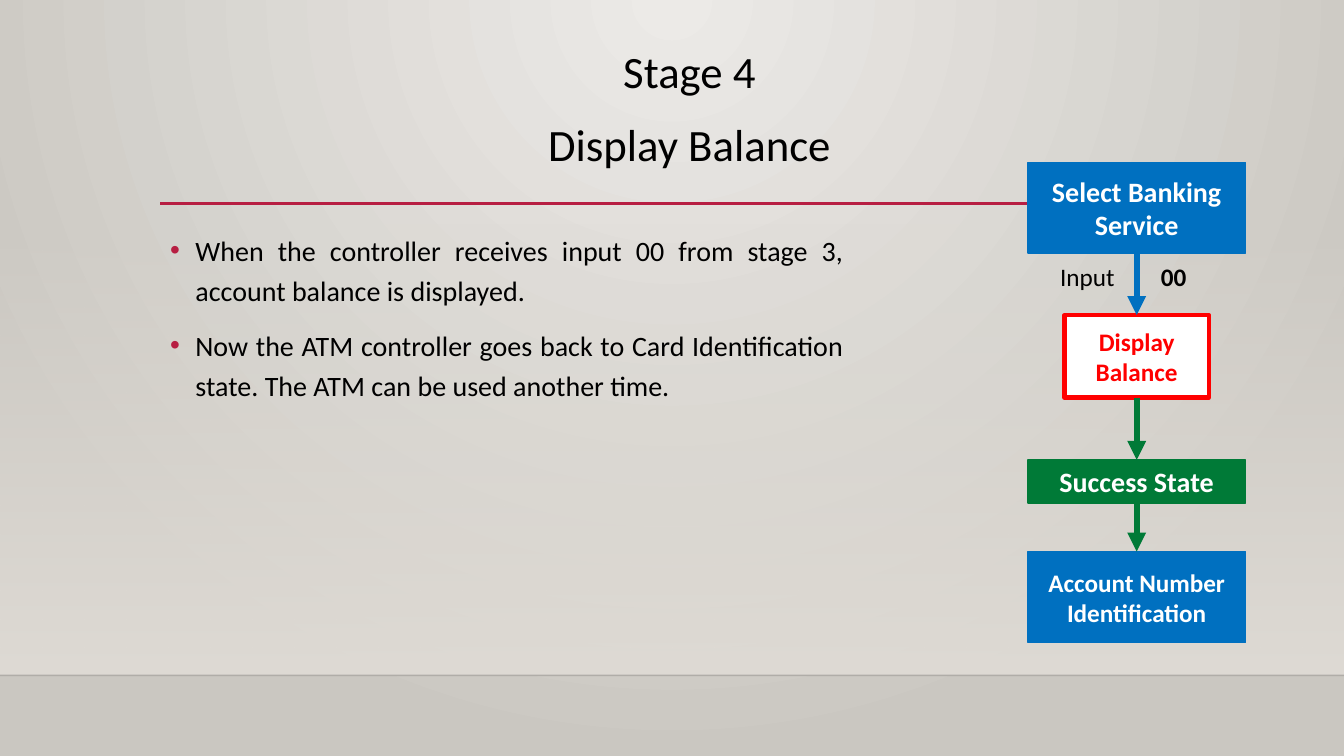
from lxml import etree
from pptx import Presentation
from pptx import util as u
from pptx.dml.color import RGBColor
from pptx.enum import shapes, text
from pptx.oxml import ns

COLORS = {
    "glow": "ECEAE7", "edge": "CAC7C1", "wall": "DFDBD5", "black": "000000",
    "accent": "B71E42", "blue": "0070C0", "green": "007A37", "red": "FF0000",
    "white": "FFFFFF",
}
FONT = "Calibri"
CENTER = text.PP_ALIGN.CENTER


def rgb(name):
    """Return the named palette colour."""
    return RGBColor.from_string(COLORS[name])


def child(parent, tag, **attributes):
    """Append a drawing element to its parent."""
    return etree.SubElement(parent, ns.qn(tag), attributes)


def style(para, size, color="black", bold=False):
    """Format every run of a paragraph."""
    for span in para.runs:
        span.font.name, span.font.size = FONT, u.Pt(size)
        span.font.bold = bold
        span.font.color.rgb = rgb(color)


def add_text(page, left, top, width, height):
    """Add a wrapping text box and return its frame."""
    box = page.shapes.add_textbox(u.Pt(left), u.Pt(top), u.Pt(width), u.Pt(height))
    box.text_frame.word_wrap = True
    return box.text_frame


def add_line(page, start, end, color, weight):
    """Add a straight connector without a shadow."""
    line = page.shapes.add_connector(
        shapes.MSO_CONNECTOR.STRAIGHT, *(u.Pt(value) for value in (*start, *end)))
    line.line.color.rgb = rgb(color)
    line.line.width = u.Pt(weight)
    child(line._element.spPr, "a:effectLst")
    return line


def set_gradient(fill, names):
    """Give a fill a two-colour gradient."""
    fill.gradient()
    for stop, position, name in zip(fill.gradient_stops, (0, 1), names):
        stop.position = position
        stop.color.rgb = rgb(name)


def draw_backdrop(page, width, height, floor):
    """Draw the radial background, the fading wall and the floor line."""
    fill = page.background.fill
    set_gradient(fill, ("glow", "edge"))
    linear = next(page._element.iter(ns.qn("a:lin")))
    gradient = linear.getparent()
    gradient.remove(linear)
    radial = child(gradient, "a:path", path="circle")
    child(radial, "a:fillToRect", l="43000", t="0", r="43000", b="100000")

    wall_top = 159
    wall = page.shapes.add_shape(
        shapes.MSO_SHAPE.RECTANGLE, 0, u.Pt(wall_top), u.Pt(width), u.Pt(floor - wall_top))
    wall.shadow.inherit = False
    wall.line.fill.background()
    set_gradient(wall.fill, ("wall", "wall"))
    wall.fill.gradient_angle = 270
    child(next(wall._element.spPr.iter(ns.qn("a:srgbClr"))), "a:alpha", val="0")

    edge = add_line(page, (0, floor), (width, floor), "black", 1)
    child(next(edge._element.spPr.iter(ns.qn("a:srgbClr"))), "a:alpha", val="20000")


def draw_heading(page, left, top, width, height):
    """Draw the stage number, the title and the rule below them."""
    rule = top + height - 0.7
    add_line(page, (left, rule), (left + width, rule), "accent", 2.5)
    title_top = top + 35.3
    frame = add_text(page, left, title_top, width, top + height - title_top)
    frame.vertical_anchor = text.MSO_ANCHOR.MIDDLE
    frame.text = "Display Balance"
    stage = add_text(page, left + (width - 120) / 2, top, 120, 46)
    stage.text = "Stage 4"
    for para in (frame.paragraphs[0], stage.paragraphs[0]):
        para.alignment = CENTER
        style(para, 32)
    frame.paragraphs[0].line_spacing = 0.9


def draw_bullets(page, left, top, width, height, items):
    """Draw the justified bullet list."""
    frame = add_text(page, left, top, width, height)
    for index, item in enumerate(items):
        para = frame.add_paragraph() if index else frame.paragraphs[0]
        para.text = item
        para.alignment = text.PP_ALIGN.JUSTIFY
        para.line_spacing = 1.2
        if index:
            para.space_before = u.Pt(10)
        props = para._p.get_or_add_pPr()
        props.set("marL", str(u.Pt(18)))
        props.set("indent", str(-u.Pt(18)))
        child(child(props, "a:buClr"), "a:srgbClr", val=COLORS["accent"])
        child(props, "a:buFont", typeface="Arial")
        child(props, "a:buChar", char="•")
        style(para, 20)


def draw_state(page, center, top, width, height, label, size, fill, line, ink, weight):
    """Draw one state of the flow as a centred rectangle."""
    box = page.shapes.add_shape(
        shapes.MSO_SHAPE.RECTANGLE, u.Pt(center - width / 2), u.Pt(top),
        u.Pt(width), u.Pt(height))
    box.shadow.inherit = False
    box.fill.solid()
    box.fill.fore_color.rgb = rgb(fill)
    box.line.color.rgb = rgb(line)
    box.line.width = u.Pt(weight)
    frame = box.text_frame
    frame.word_wrap = True
    frame.vertical_anchor = text.MSO_ANCHOR.MIDDLE
    frame.text = label
    para = frame.paragraphs[0]
    para.alignment = CENTER
    style(para, size, ink, True)
    return box


def draw_flow(page, left, top, width):
    """Draw the chain of states, its arrows and the input label."""
    center = left + width / 2
    states = [
        (0, width, 65, "Select Banking Service", 20, "blue", "blue", "white", 1.25),
        (109, 103, 59, "Display Balance", 18, "white", "red", "red", 3),
        (212.5, width, 31, "Success State", 20, "green", "green", "white", 1.25),
        (278, width, 65, "Account Number Identification", 18, "blue", "blue", "white", 1.25),
    ]
    boxes = [draw_state(page, center, top + offset, *rest) for offset, *rest in states]

    label = add_text(page, left + 16, top + 67, 137.5, 29).paragraphs[0]
    label.text = "Input \t"
    label.add_run().text = "00"
    style(label, 18)
    label.runs[1].font.bold = True

    for upper, lower, color in zip(boxes, boxes[1:], ("blue", "green", "green")):
        arrow = add_line(page, (0, 0), (0, 0), color, 4.5)
        arrow.begin_connect(upper, 2)
        arrow.end_connect(lower, 0)
        child(arrow.line._get_or_add_ln(), "a:tailEnd", type="triangle")


def main():
    """Build the slide and save it."""
    deck = Presentation()
    deck.slide_width, deck.slide_height = u.Pt(960), u.Pt(540)
    page = deck.slides.add_slide(deck.slide_layouts[6])
    draw_backdrop(page, 960, 540, 482.4)
    draw_heading(page, 114.5, 28, 756, 118)
    draw_bullets(page, 114.5, 158.5, 495, 271, [
        "When the controller receives input 00 from stage 3, account balance is displayed.",
        "Now the ATM controller goes back to Card Identification state. "
        "The ATM can be used another time.",
    ])
    draw_flow(page, 734.2, 116, 155.5)
    deck.save("out.pptx")


if __name__ == "__main__":
    main()
